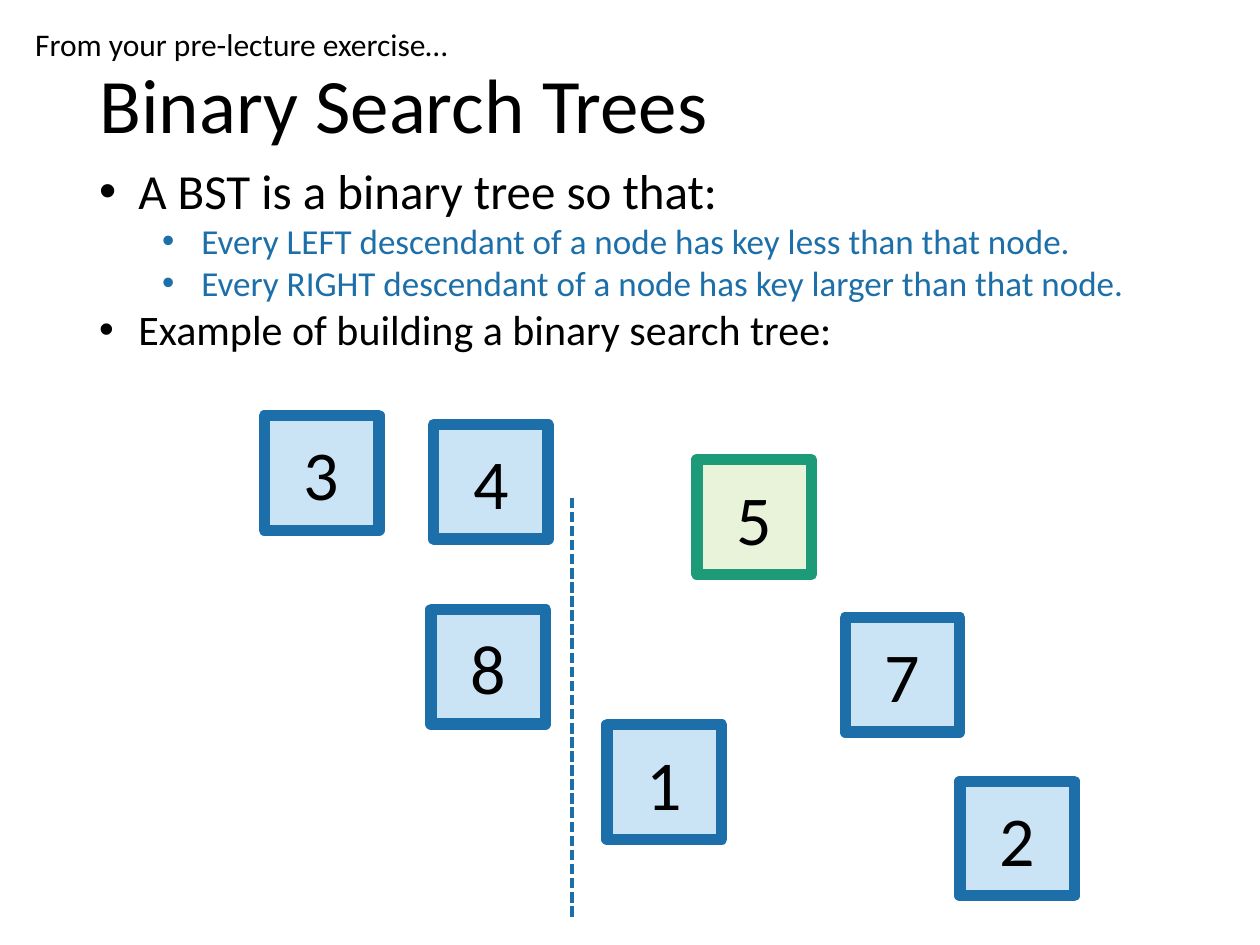
import pptx
import pptx.dml.color
import pptx.enum.dml
import pptx.enum.shapes
import pptx.enum.text
import pptx.oxml.ns
import pptx.util
import lxml.etree

Cm = pptx.util.Cm
Pt = pptx.util.Pt
RGBColor = pptx.dml.color.RGBColor
ALIGN = pptx.enum.text.PP_ALIGN
ANCHOR = pptx.enum.text.MSO_ANCHOR

BLACK = RGBColor(0x00, 0x00, 0x00)
BLUE = RGBColor(0x1D, 0x6F, 0xA9)
PALE_BLUE = RGBColor(0xCA, 0xE4, 0xF6)
GREEN = RGBColor(0x1D, 0x9A, 0x78)
PALE_GREEN = RGBColor(0xE8, 0xF3, 0xDA)

FONT_NAME = "Calibri"
NODE_SIZE = 2.31
HANGING = 0.79
LEVEL_MARGINS = (0.79, 2.06)

DEFINITION = [
    ("A BST is a binary tree so that:", 0, 28, BLACK),
    ("Every LEFT descendant of a node has key less than that node.", 1, 20, BLUE),
    ("Every RIGHT descendant of a node has key larger than that node.", 1, 20, BLUE),
    ("Example of building a binary search tree:", 0, 24, BLACK),
]
NODES = [
    ("4", 3.41, 0.18, PALE_BLUE, BLUE),
    ("2", 14.02, 7.37, PALE_BLUE, BLUE),
    ("8", 3.36, 3.91, PALE_BLUE, BLUE),
    ("7", 11.71, 4.07, PALE_BLUE, BLUE),
    ("1", 6.91, 6.23, PALE_BLUE, BLUE),
    ("3", 0, 0, PALE_BLUE, BLUE),
    ("5", 8.72, 0.89, PALE_GREEN, GREEN),
]


def set_attributes(target, values):
    for name, value in values.items():
        setattr(target, name, value)


def format_paragraph(paragraph, text, size, color, **values):
    paragraph.text = text
    set_attributes(paragraph, values)
    set_attributes(paragraph.font, {"name": FONT_NAME, "size": Pt(size), "bold": False})
    paragraph.font.color.rgb = color


def add_bullet(paragraph, level):
    properties = paragraph._p.get_or_add_pPr()
    properties.set("marL", str(Cm(LEVEL_MARGINS[level])))
    properties.set("indent", str(-Cm(HANGING)))
    font = lxml.etree.SubElement(properties, pptx.oxml.ns.qn("a:buFont"))
    font.set("typeface", "Arial")
    bullet = lxml.etree.SubElement(properties, pptx.oxml.ns.qn("a:buChar"))
    bullet.set("char", "•")


def place_title(slide, left, top, width, height):
    title = slide.shapes.title
    set_attributes(title, {"left": Cm(left), "top": Cm(top),
                           "width": Cm(width), "height": Cm(height)})
    set_attributes(title.text_frame, {"vertical_anchor": ANCHOR.MIDDLE, "word_wrap": True})
    format_paragraph(title.text_frame.paragraphs[0], "Binary Search Trees", 44, BLACK,
                     alignment=ALIGN.LEFT, line_spacing=0.9)


def add_text_frame(slide, left, top, width, height):
    text_box = slide.shapes.add_textbox(Cm(left), Cm(top), Cm(width), Cm(height))
    text_box.text_frame.word_wrap = True
    return text_box.text_frame


def place_note(slide, left, top, width, height):
    frame = add_text_frame(slide, left, top, width, height)
    format_paragraph(frame.paragraphs[0], "From your pre-lecture exercise…", 18, BLACK)


def place_definition(slide, left, top, width, height):
    frame = add_text_frame(slide, left, top, width, height)
    for index, (text, level, size, color) in enumerate(DEFINITION):
        paragraph = frame.add_paragraph() if index else frame.paragraphs[0]
        add_bullet(paragraph, level)
        format_paragraph(paragraph, text, size, color, level=level)


def add_node(slide, key, left, top, fill_color, line_color):
    node = slide.shapes.add_shape(pptx.enum.shapes.MSO_SHAPE.RECTANGLE, Cm(left), Cm(top),
                                  Cm(NODE_SIZE), Cm(NODE_SIZE))
    node.shadow.inherit = False
    node.fill.solid()
    node.fill.fore_color.rgb = fill_color
    node.line.color.rgb = line_color
    node.line.width = Pt(6.5)
    node.text_frame.vertical_anchor = ANCHOR.MIDDLE
    format_paragraph(node.text_frame.paragraphs[0], key, 40, BLACK, alignment=ALIGN.CENTER)


def add_divider(slide, x, top, bottom):
    divider = slide.shapes.add_connector(pptx.enum.shapes.MSO_CONNECTOR.STRAIGHT,
                                         Cm(x), Cm(top), Cm(x), Cm(bottom))
    divider.line.color.rgb = BLUE
    set_attributes(divider.line, {"width": Pt(2),
                                  "dash_style": pptx.enum.dml.MSO_LINE.SQUARE_DOT})
    lxml.etree.SubElement(divider._element.spPr, pptx.oxml.ns.qn("a:effectLst"))


def place_nodes(slide, left, top):
    for key, offset_x, offset_y, fill_color, line_color in NODES:
        add_node(slide, key, left + offset_x, top + offset_y, fill_color, line_color)
    add_divider(slide, left + 6.2, top + 1.65, top + 10.11)


def main():
    presentation = pptx.Presentation()
    set_attributes(presentation, {"slide_width": Cm(25.4), "slide_height": Cm(19.05)})
    slide = presentation.slides.add_slide(presentation.slide_layouts[5])
    place_title(slide, 1.75, 1.02, 21.89, 2.34)
    place_nodes(slide, 5.33, 8.38)
    place_definition(slide, 1.75, 3.12, 26.19, 4.19)
    place_note(slide, 0.46, 0.38, 11.86, 1.02)
    presentation.save("out.pptx")


if __name__ == "__main__":
    main()
